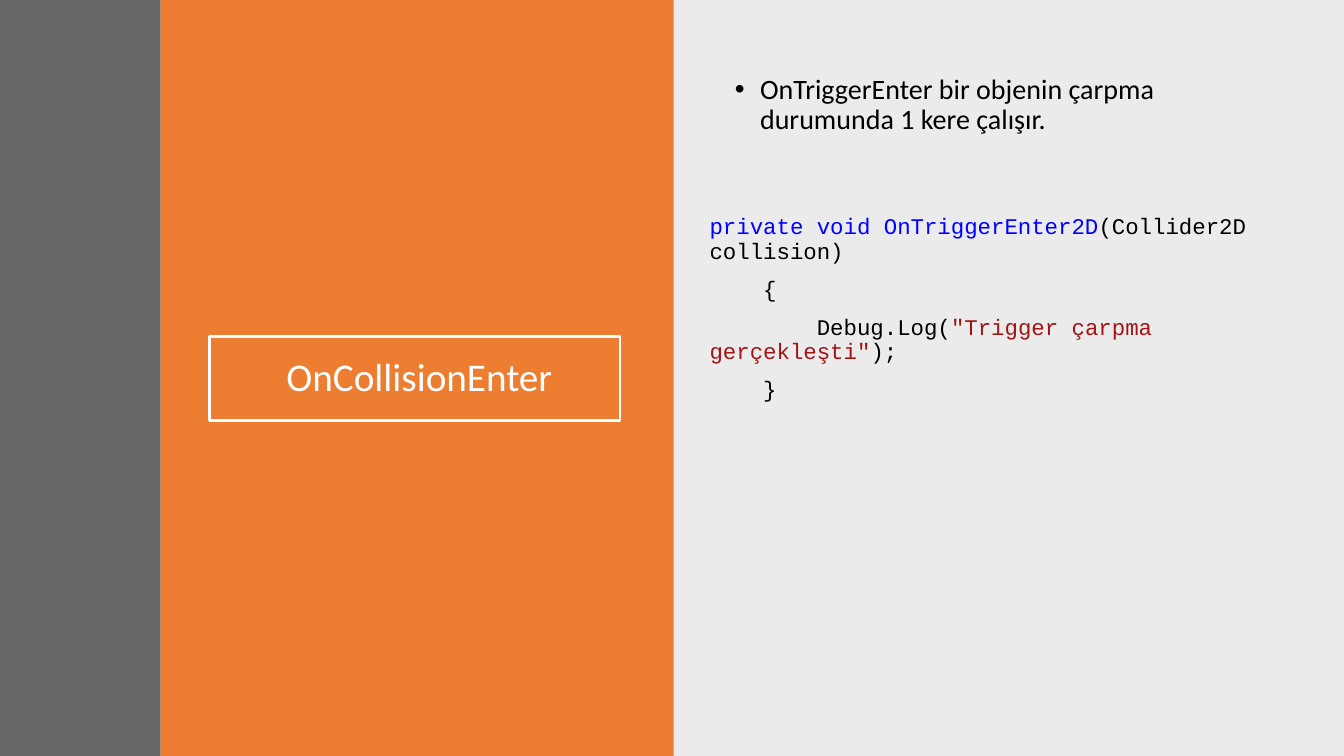
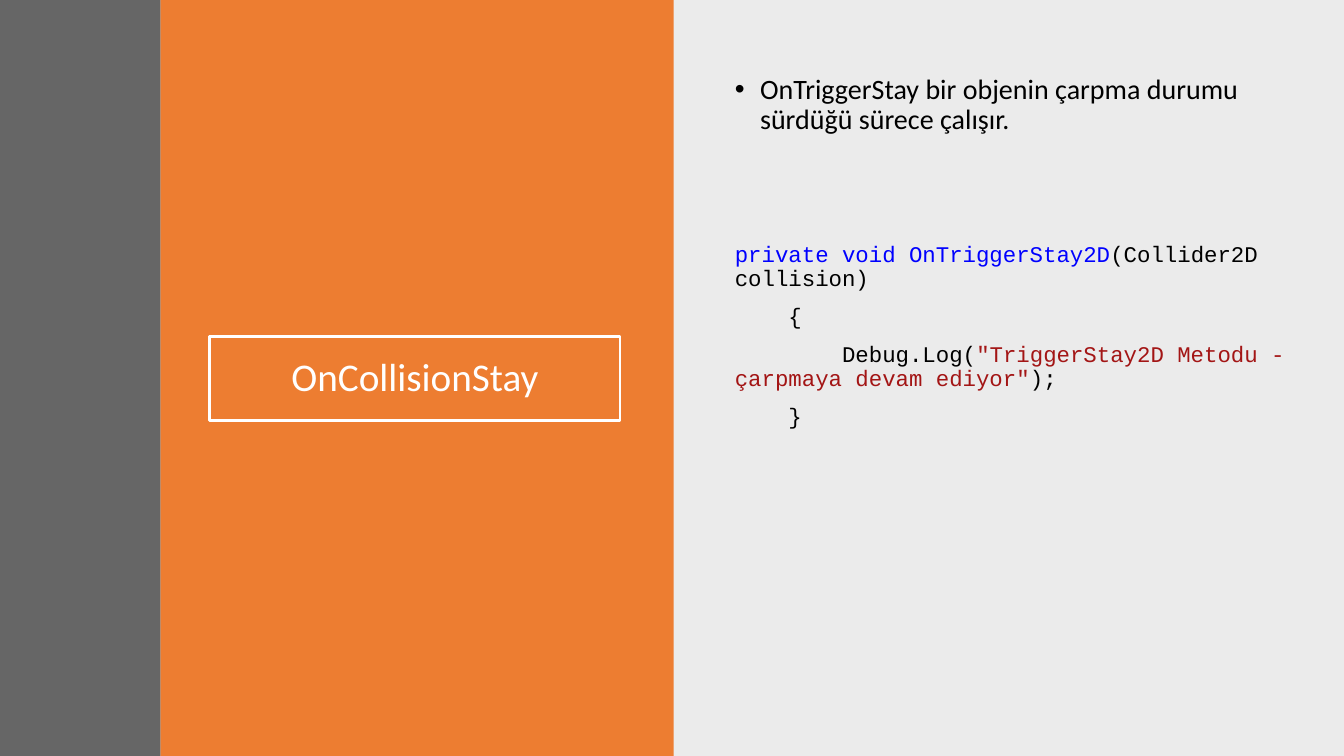
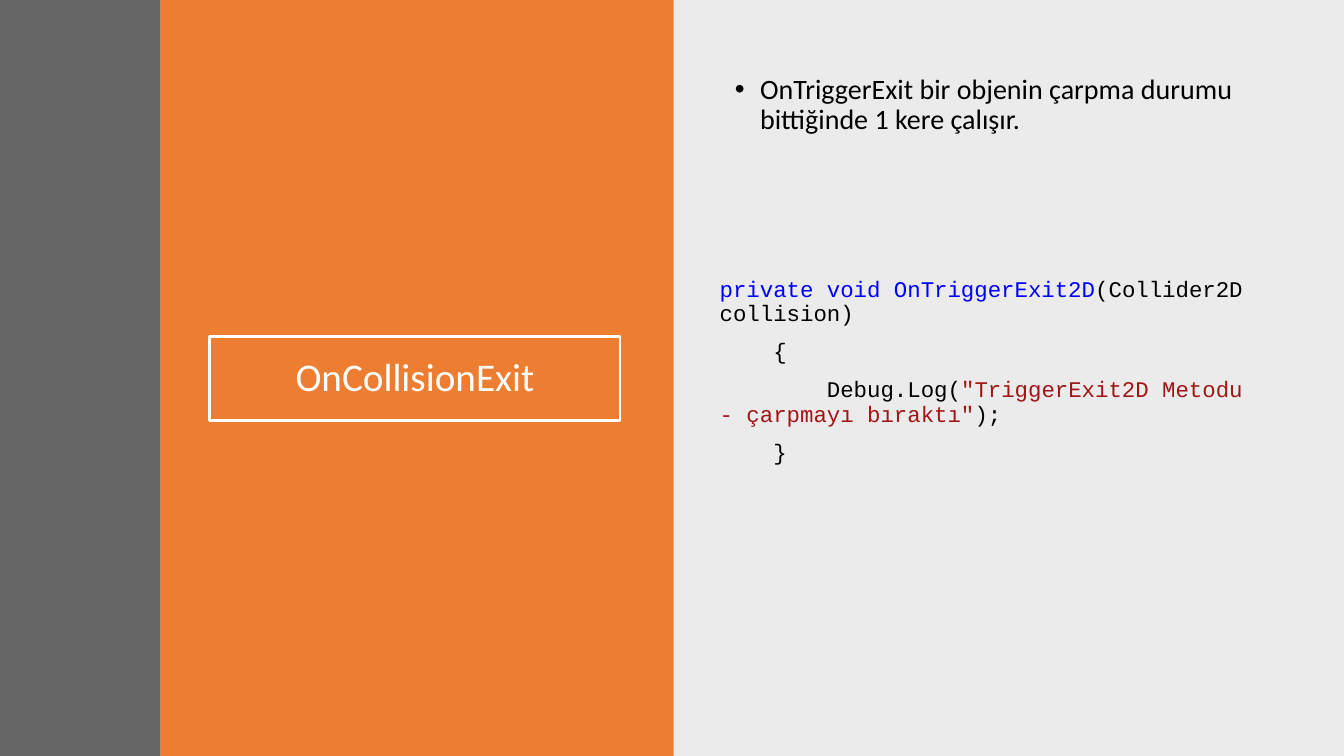
from lxml import etree
from pptx import Presentation
from pptx.dml.color import RGBColor
from pptx.enum.shapes import MSO_SHAPE
from pptx.enum.text import MSO_ANCHOR, PP_ALIGN
from pptx.oxml.ns import qn
from pptx.util import Inches, Pt

RECT = MSO_SHAPE.RECTANGLE
MIDDLE = MSO_ANCHOR.MIDDLE
CENTER = PP_ALIGN.CENTER

BLACK, WHITE = "000000", "FFFFFF"
GREY, ORANGE = "404040", "ED7D31"
BLUE, RED = "0000FF", "A31515"
SANS, MONO = "Calibri", "Courier New"
WIDE, HIGH = 13.33, 7.5
EDGE, HALF = 1.59, 6.67

PAGES = [
    (" OnCollisionEnter",
     "OnTriggerEnter bir objenin çarpma durumunda 1 kere çalışır.",
     "OnTriggerEnter2D", "Trigger çarpma gerçekleşti",
     (6.94, 2.09, 5.53, 2.79)),
    ("OnCollisionStay",
     "OnTriggerStay bir objenin çarpma durumu sürdüğü sürece çalışır.",
     "OnTriggerStay2D", "TriggerStay2D Metodu - çarpmaya devam ediyor",
     (7.19, 2.36, 5.87, 4.77)),
    ("OnCollisionExit",
     "OnTriggerExit bir objenin çarpma durumu bittiğinde 1 kere çalışır.",
     "OnTriggerExit2D", "TriggerExit2D Metodu - çarpmayı bıraktı",
     (7.04, 2.71, 5.53, 2.79)),
]


def paint(target, color):
    target.rgb = RGBColor.from_string(color)


def style(para, name, size, color):
    para.line_spacing = 0.9
    para.font.name = name
    para.font.size = Pt(size)
    paint(para.font.color, color)


def add_rect(slide, box):
    shape = slide.shapes.add_shape(RECT, *map(Inches, box))
    shape.shadow.inherit = False
    return shape


def add_band(slide, left, right, color, alpha=100):
    band = add_rect(slide, (left, 0, right - left, HIGH))
    band.line.fill.background()
    band.fill.solid()
    paint(band.fill.fore_color, color)
    if alpha < 100:
        tint = band.fill._xPr.find(".//" + qn("a:srgbClr"))
        etree.SubElement(tint, qn("a:alpha"), val=str(alpha * 1000))


def add_title(slide, text):
    title = add_rect(slide, (2.08, 3.34, 4.07, 0.83))
    title.fill.background()
    title.line.width = Pt(2)
    paint(title.line.color, WHITE)
    frame = title.text_frame
    frame.vertical_anchor = MIDDLE
    para = frame.paragraphs[0]
    para.text = text
    para.alignment = CENTER
    style(para, SANS, 28, WHITE)


def add_text(slide, box):
    frame = slide.shapes.add_textbox(*map(Inches, box)).text_frame
    frame.word_wrap = True
    return frame


def add_bullet(slide, text):
    para = add_text(slide, (7.19, 0.7, 5.53, 2.79)).paragraphs[0]
    para.text = text
    props = para._p.get_or_add_pPr()
    props.set("marL", str(Inches(0.25)))
    props.set("indent", str(Inches(-0.25)))
    etree.SubElement(props, qn("a:buFont"), typeface="Arial")
    etree.SubElement(props, qn("a:buChar"), char="•")
    style(para, SANS, 20, BLACK)


def add_code(slide, box, method, message):
    lines = [
        [("private void " + method, BLUE), ("(Collider2D collision)", BLACK)],
        [("    {", BLACK)],
        [("        Debug.Log(", BLACK), (f'"{message}"', RED), (");", BLACK)],
        [("    }", BLACK)],
    ]
    frame = add_text(slide, box)
    for i, line in enumerate(lines):
        para = frame.add_paragraph() if i else frame.paragraphs[0]
        if i:
            para.space_before = Pt(10)
        style(para, MONO, 16, BLACK)
        for text, color in line:
            run = para.add_run()
            run.text = text
            if color != BLACK:
                paint(run.font.color, color)


def main():
    deck = Presentation()
    deck.slide_width = Inches(WIDE)
    deck.slide_height = Inches(HIGH)
    for title, note, method, message, box in PAGES:
        slide = deck.slides.add_slide(deck.slide_layouts[6])
        add_band(slide, HALF, WIDE, BLACK, 8)
        add_band(slide, EDGE, HALF + 0.01, ORANGE)
        add_band(slide, 0, EDGE, GREY, 80)
        add_title(slide, title)
        add_bullet(slide, note)
        add_code(slide, box, method, message)
    deck.save("out.pptx")


if __name__ == "__main__":
    main()
